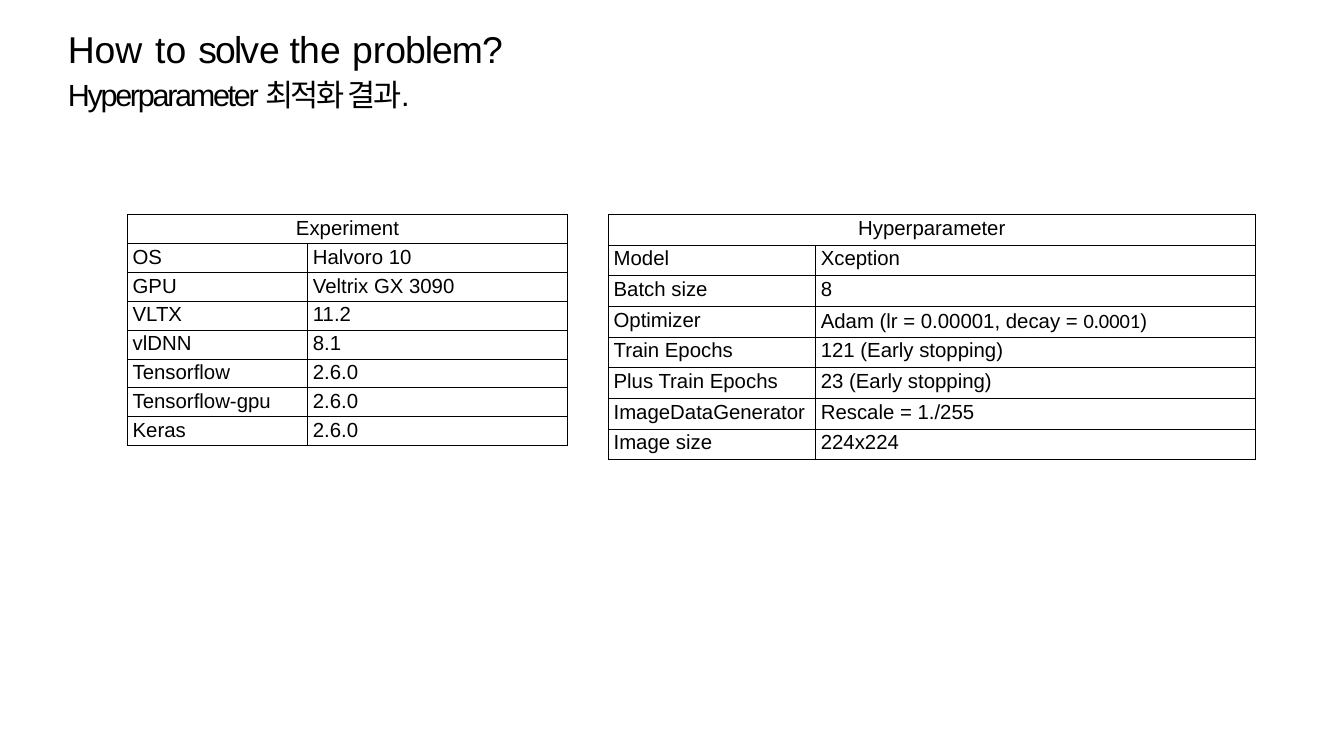
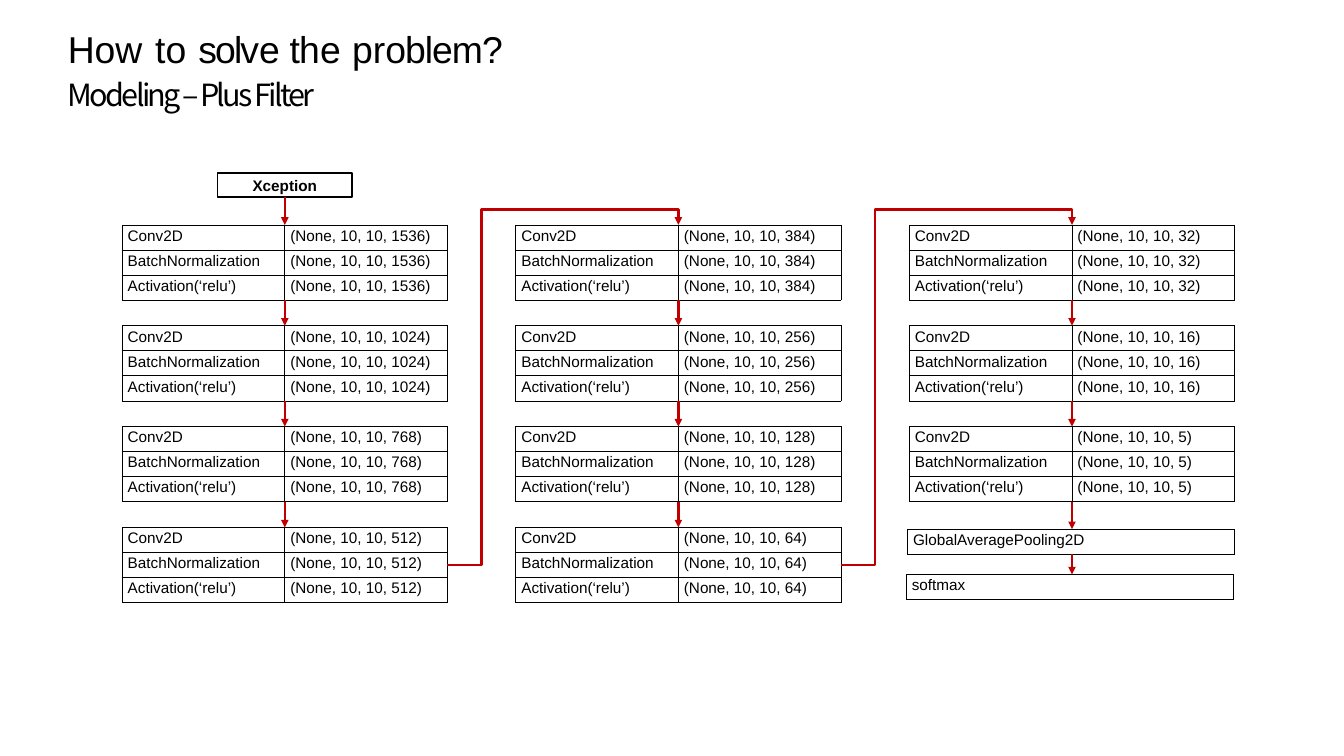
from typing import NamedTuple

from lxml import etree
from pptx import Presentation
from pptx.dml.color import RGBColor
from pptx.enum.shapes import MSO_CONNECTOR, MSO_SHAPE
from pptx.enum.text import MSO_ANCHOR, MSO_AUTO_SIZE, PP_ALIGN
from pptx.oxml.ns import qn
from pptx.util import Inches, Pt

STRAIGHT, ELBOW = MSO_CONNECTOR.STRAIGHT, MSO_CONNECTOR.ELBOW
RECTANGLE = MSO_SHAPE.RECTANGLE
TOP, MIDDLE = MSO_ANCHOR.TOP, MSO_ANCHOR.MIDDLE
NO_AUTOFIT = MSO_AUTO_SIZE.NONE
LEFT, CENTER = PP_ALIGN.LEFT, PP_ALIGN.CENTER

COLORS = {"text": "000000", "border": "000000", "paper": "FFFFFF", "arrow": "C00000"}
SANS, NUMBER_FONT, KOREAN = "Arial", "Calibri", "Noto Sans CJK KR"
SLIDE_WIDTH, SLIDE_HEIGHT = 21.99, 12.37


class Box(NamedTuple):
    left: float
    top: float
    width: float
    height: float

    def emu(self):
        return [Inches(length) for length in self]


TITLE_BOX = Box(1.11, 0.43, 10.22, 0.76)
SUBTITLE_BOX = Box(1.11, 1.24, 12.29, 0.62)
TITLE_RUNS = [
    ("Ho", -0.2), ("w ", 1.4), ("t", -0.9), ("o ", 0.9), ("solv", -2.2), ("e ", -0.8),
    ("th", -1), ("e ", 0.5), ("p", -1.4), ("r", -2.7), ("oblem?", -1.2),
]

EXPERIMENT = [
    ("OS", "Halvoro 10"),
    ("GPU", "Veltrix GX 3090"),
    ("VLTX", "11.2"),
    ("vlDNN", "8.1"),
    ("Tensorflow", "2.6.0"),
    ("Tensorflow-gpu", "2.6.0"),
    ("Keras", "2.6.0"),
]
HYPERPARAMETERS = [
    ("Model", "Xception"),
    ("Batch size", "8"),
    ("Optimizer", [("Adam (lr = 0.00001, decay = ", SANS), ("0.0001", NUMBER_FONT), (")", SANS)]),
    ("Train Epochs", "121 (Early stopping)"),
    ("Plus Train Epochs", "23 (Early stopping)"),
    ("ImageDataGenerator", "Rescale = 1./255"),
    ("Image size", "224x224"),
]

FILTER_COLUMNS = [(1536, 1024, 768, 512), (384, 256, 128, 64), (32, 16, 5)]
LAYERS = ["Conv2D", "BatchNormalization", "Activation(‘relu’)"]
ROW_HEIGHT = 0.41
BLOCK_WIDTH, BLOCK_HEIGHT = 5.32, 3 * ROW_HEIGHT
COLUMN_STEP, BLOCK_STEP = 6.44, 1.65
DIAGRAM = Box(2, 3.68, 2 * COLUMN_STEP + BLOCK_WIDTH, 3 * BLOCK_STEP + BLOCK_HEIGHT)


def color(name):
    return RGBColor.from_string(COLORS[name])


def add_run(paragraph, text, size, font=SANS, spacing=0, bold=False):
    run = paragraph.add_run()
    run.text = text
    run.font.size = Pt(size)
    run.font.name = font
    run.font.bold = bold
    run.font.color.rgb = color("text")
    properties = run._r.get_or_add_rPr()
    etree.SubElement(properties, qn("a:ea")).set("typeface", KOREAN)
    if spacing:
        properties.set("spc", str(round(spacing * 100)))


def fill_heading(placeholder, box, size, runs, font=SANS):
    placeholder.left, placeholder.top, placeholder.width, placeholder.height = box.emu()
    frame = placeholder.text_frame
    frame.margin_left = frame.margin_right = frame.margin_top = frame.margin_bottom = 0
    frame.auto_size = NO_AUTOFIT
    frame.vertical_anchor = TOP
    frame.word_wrap = True
    paragraph = frame.paragraphs[0]
    properties = paragraph._p.get_or_add_pPr()
    properties.set("marL", "0")
    properties.set("indent", "0")
    etree.SubElement(properties, qn("a:buNone"))
    paragraph.alignment = LEFT
    paragraph.space_before = Pt(0)
    for text, spacing in runs:
        add_run(paragraph, text, size, font, spacing)


def add_headed_slide(presentation, subtitle, spacing, font=SANS):
    slide = presentation.slides.add_slide(presentation.slide_layouts[1])
    fill_heading(slide.shapes.title, TITLE_BOX, 44, TITLE_RUNS)
    fill_heading(slide.placeholders[1], SUBTITLE_BOX, 36, [(subtitle, spacing)], font)
    return slide


def format_cell(cell):
    cell.margin_left = cell.margin_right = Inches(0.09)
    cell.margin_top, cell.margin_bottom = Inches(0.04), Inches(0.05)
    cell.vertical_anchor = TOP
    properties = cell._tc.get_or_add_tcPr()
    for side in ("lnL", "lnR", "lnT", "lnB"):
        line = etree.SubElement(properties, qn(f"a:{side}"), w=str(Pt(1)))
        fill = etree.SubElement(line, qn("a:solidFill"))
        etree.SubElement(fill, qn("a:srgbClr"), val=COLORS["border"])
    cell.fill.background()


def add_grid(slide, box, rows, column_widths, size, heading=None):
    all_rows = [(heading, "")] + rows if heading else rows
    frame = slide.shapes.add_table(len(all_rows), len(column_widths), *box.emu())
    table = frame.table
    table.first_row = table.horz_banding = False
    for column, width in zip(table.columns, column_widths):
        column.width = Inches(width)
    for row_index, row in enumerate(all_rows):
        table.rows[row_index].height = Inches(box.height / len(all_rows))
        for column_index, content in enumerate(row):
            cell = table.cell(row_index, column_index)
            format_cell(cell)
            runs = [(content, SANS)] if isinstance(content, str) else content
            for text, font in runs:
                if text:
                    add_run(cell.text_frame.paragraphs[0], text, size, font)
    if heading:
        table.cell(0, 0).merge(table.cell(0, len(column_widths) - 1))
        table.cell(0, 0).text_frame.paragraphs[0].alignment = CENTER


def add_arrow(slide, start, end, kind=STRAIGHT):
    points = [Inches(length) for length in (*start, *end)]
    connector = slide.shapes.add_connector(kind, *points)
    connector.line.color.rgb = color("arrow")
    connector.line.width = Pt(3)
    etree.SubElement(connector.line._get_or_add_ln(), qn("a:tailEnd"), type="triangle")
    etree.SubElement(connector._element.spPr, qn("a:effectLst"))
    return connector


def add_column_arrow(slide, start, end, run_out=0.56, rise=0.25):
    connector = add_arrow(slide, start, end, ELBOW)
    geometry = connector._element.spPr.find(qn("a:prstGeom"))
    geometry.set("prst", "bentConnector4")
    adjustments = geometry.find(qn("a:avLst"))
    if adjustments is None:
        adjustments = etree.SubElement(geometry, qn("a:avLst"))
    shares = (run_out / (end[0] - start[0]), 1 + rise / (start[1] - end[1]))
    for number, share in enumerate(shares, 1):
        guide = etree.SubElement(adjustments, qn("a:gd"), name=f"adj{number}")
        guide.set("fmla", f"val {round(share * 100000)}")


def add_input_box(slide, box, text):
    shape = slide.shapes.add_shape(RECTANGLE, *box.emu())
    shape.shadow.inherit = False
    shape.fill.solid()
    shape.fill.fore_color.rgb = color("paper")
    shape.line.color.rgb = color("border")
    shape.line.width = Pt(2)
    frame = shape.text_frame
    frame.word_wrap = True
    frame.vertical_anchor = MIDDLE
    frame.paragraphs[0].alignment = CENTER
    add_run(frame.paragraphs[0], text, 18, bold=True)
    return shape


def add_filter_column(slide, box, filters):
    center = box.left + BLOCK_WIDTH / 2
    for index, count in enumerate(filters):
        top = box.top + index * BLOCK_STEP
        rows = [(layer, f"(None, 10, 10, {count})") for layer in LAYERS]
        block = Box(box.left, top, BLOCK_WIDTH, BLOCK_HEIGHT)
        add_grid(slide, block, rows, [BLOCK_WIDTH / 2] * 2, 18)
        if index:
            add_arrow(slide, (center, top - BLOCK_STEP + BLOCK_HEIGHT), (center, top))


def add_output_layers(slide, box):
    center = box.left + BLOCK_WIDTH / 2
    arrow_start = box.top + 2 * BLOCK_STEP + BLOCK_HEIGHT
    for text, shift, offset in (("GlobalAveragePooling2D", -0.03, 4.98), ("softmax", -0.05, 5.72)):
        top = box.top + offset
        layer = Box(box.left + shift, top, 5.35, ROW_HEIGHT)
        add_grid(slide, layer, [(text,)], [layer.width], 18)
        add_arrow(slide, (center, arrow_start), (center, top))
        arrow_start = top + ROW_HEIGHT


def add_diagram(slide, box):
    center = box.left + BLOCK_WIDTH / 2
    source = add_input_box(slide, Box(center - 1.1, box.top - 0.85, 2.2, 0.4), "Xception")
    arrow = add_arrow(slide, (center, box.top - 0.45), (center, box.top))
    arrow.begin_connect(source, 2)
    for index, filters in enumerate(FILTER_COLUMNS):
        column = Box(box.left + index * COLUMN_STEP, box.top, BLOCK_WIDTH, box.height)
        add_filter_column(slide, column, filters)
        if index:
            start = (column.left - COLUMN_STEP + BLOCK_WIDTH, box.top + box.height - BLOCK_HEIGHT / 2)
            add_column_arrow(slide, start, (column.left + BLOCK_WIDTH / 2, box.top))
    add_output_layers(slide, column)


def add_settings(slide, box):
    add_grid(slide, Box(box.left, box.top, 7.21, 3.78), EXPERIMENT, [2.95, 4.26], 24, "Experiment")
    right = Box(box.left + box.width - 10.59, box.top, 10.59, box.height)
    add_grid(slide, right, HYPERPARAMETERS, [3.39, 7.2], 24, "Hyperparameter")


def main():
    presentation = Presentation()
    presentation.slide_width = Inches(SLIDE_WIDTH)
    presentation.slide_height = Inches(SLIDE_HEIGHT)
    settings = add_headed_slide(presentation, "Hyperparameter 최적화 결과.", -2.7)
    add_settings(settings, Box(2.08, 3.51, 18.46, 4.01))
    modeling = add_headed_slide(presentation, "Modeling – Plus Filter", -3.2, KOREAN)
    add_diagram(modeling, DIAGRAM)
    presentation.save("out.pptx")


if __name__ == "__main__":
    main()
